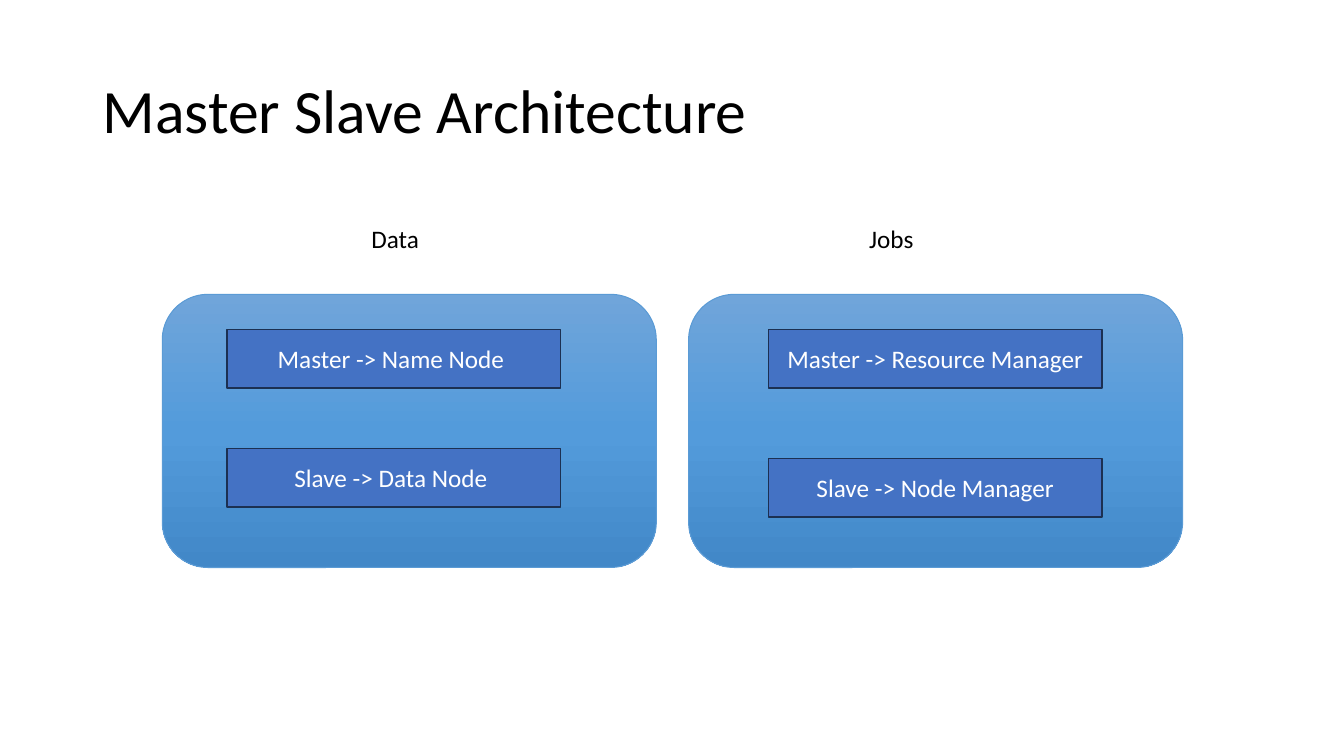
import copy

import pptx
import pptx.dml.color
import pptx.enum.shapes
import pptx.enum.text
import pptx.oxml.ns
import pptx.util

Inches = pptx.util.Inches
Pt = pptx.util.Pt
Shapes = pptx.enum.shapes.MSO_SHAPE
Align = pptx.enum.text.PP_ALIGN
Anchor = pptx.enum.text.MSO_ANCHOR


def color(value):
    return pptx.dml.color.RGBColor.from_string(value)


def write(shape, text, size=18, ink="000000", align=Align.CENTER,
          anchor=Anchor.TOP, spacing=1.0, font="Calibri"):
    frame = shape.text_frame
    frame.word_wrap = True
    frame.vertical_anchor = anchor
    paragraph = frame.paragraphs[0]
    paragraph.alignment = align
    paragraph.line_spacing = spacing
    run = paragraph.add_run()
    run.text = text
    run.font.name = font
    run.font.size = Pt(size)
    run.font.color.rgb = color(ink)


class ArchitectureSlide:
    panel_stops = ((0, "70A5DA"), (0.5, "539BDB"), (1, "4288C8"))
    panel_line = "5B9BD5"
    node_fill = "4472C4"
    node_line = "1C3052"
    node_ink = "FFFFFF"

    def __init__(self, presentation):
        self.slide = presentation.slides.add_slide(presentation.slide_layouts[6])

    def label(self, text, left, top, width, height, **style):
        box = self.slide.shapes.add_textbox(
            Inches(left), Inches(top), Inches(width), Inches(height))
        write(box, text, **style)

    def outlined(self, kind, left, top, width, height, line, weight):
        shape = self.slide.shapes.add_shape(
            kind, Inches(left), Inches(top), Inches(width), Inches(height))
        shape.shadow.inherit = False
        shape.line.color.rgb = color(line)
        shape.line.width = Pt(weight)
        return shape

    def panel(self, left):
        shape = self.outlined(Shapes.ROUNDED_RECTANGLE, left, 2.92, 4.9, 2.71,
                              self.panel_line, 0.75)
        shape.adjustments[0] = 0.167
        shape.fill.gradient()
        shape.fill.gradient_angle = 270
        stop_list = next(shape.element.iter(pptx.oxml.ns.qn("a:gsLst")))
        stop_list.append(copy.deepcopy(stop_list[0]))
        for stop, (position, shade) in zip(shape.fill.gradient_stops, self.panel_stops):
            stop.position = position
            stop.color.rgb = color(shade)

    def node(self, text, left, top):
        shape = self.outlined(Shapes.RECTANGLE, left, top, 3.31, 0.58,
                              self.node_line, 1)
        shape.fill.solid()
        shape.fill.fore_color.rgb = color(self.node_fill)
        write(shape, text, ink=self.node_ink, anchor=Anchor.MIDDLE)


def main():
    presentation = pptx.Presentation()
    presentation.slide_width = Inches(13.33)
    presentation.slide_height = Inches(7.5)
    page = ArchitectureSlide(presentation)
    page.label("Master Slave Architecture", 0.92, 0.4, 11.5, 1.45, size=44,
               align=Align.LEFT, anchor=Anchor.MIDDLE, spacing=0.9)
    systems = (
        ("Data", 2.7, 1.61, 2.25,
         (("Master -> Name Node ", 3.27), ("Slave -> Data Node ", 4.45))),
        ("Jobs", 7.62, 6.83, 7.62,
         (("Master -> Resource Manager", 3.27), ("Slave -> Node Manager", 4.55))),
    )
    for name, label_left, panel_left, node_left, nodes in systems:
        page.panel(panel_left)
        for text, top in nodes:
            page.node(text, node_left, top)
        page.label(name, label_left, 2.17, 2.44, 0.4)
    presentation.save("out.pptx")


if __name__ == "__main__":
    main()
